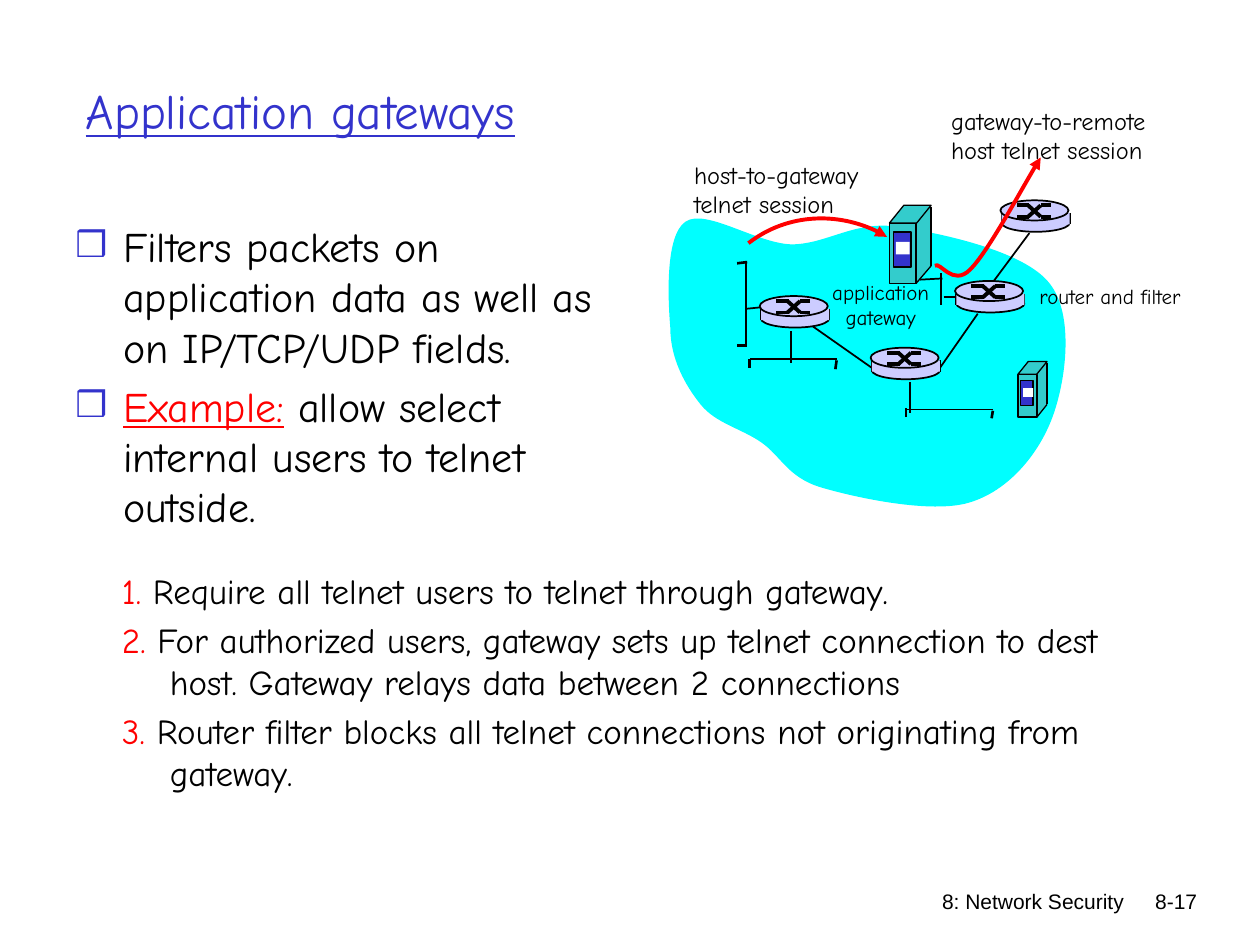
from dataclasses import dataclass
from lxml import etree
from pptx import Presentation
from pptx import util as u
from pptx.dml.color import RGBColor
from pptx.enum import shapes, text
from pptx.oxml.ns import qn

PX = 9144


@dataclass(frozen=True)
class Theme:
    ink: str = "000000"
    blue: str = "3333CC"
    red: str = "FF0000"
    cloud: str = "00FFFF"
    server: str = "33CCCC"
    router: str = "CCCCFF"
    white: str = "FFFFFF"
    hand: str = "Comic Neue"
    plain: str = "Arial"
    title: int = 28
    body: int = 24
    steps: int = 20
    label: int = 14
    small: int = 12


THEME = Theme()
LEFT, CENTER, RIGHT = text.PP_ALIGN.LEFT, text.PP_ALIGN.CENTER, text.PP_ALIGN.RIGHT
KIND = shapes.MSO_SHAPE


def px(*lengths):
    return [u.Emu(round(length) * PX) for length in lengths]


def apply(target, values):
    for name, value in values.items():
        setattr(target, name, value)


def paint(shape, fill=None, line=None, width=1):
    shape.shadow.inherit = False
    for part, colour in ((shape.fill, fill), (shape.line.fill, line)):
        if colour:
            part.solid()
            part.fore_color.rgb = RGBColor.from_string(colour)
        else:
            part.background()
    if line:
        shape.line.width = u.Pt(width)


def add_block(parent, kind, at, fill, line=None, width=1):
    shape = parent.add_shape(kind, *px(*at))
    paint(shape, fill, line, width)
    if kind == KIND.PARALLELOGRAM:
        shape.adjustments[0] = 0.81


def add_line(parent, ends, width=1):
    line = parent.add_connector(shapes.MSO_CONNECTOR.STRAIGHT, *px(*ends))
    line.line.color.rgb = RGBColor.from_string(THEME.ink)
    line.line.width = u.Pt(width)
    etree.SubElement(line._element.spPr, qn("a:effectLst"))


def add_curve(parent, points, close=False):
    builder = parent.build_freeform(*points[0], scale=PX)
    builder.add_line_segments(points[1:], close=close)
    curve = builder.convert_to_shape()
    segments = list(curve._element.iter(qn("a:lnTo")))
    for first in range(0, len(segments), 3):
        bend = etree.Element(qn("a:cubicBezTo"))
        segments[first].addprevious(bend)
        for segment in segments[first:first + 3]:
            bend.append(segment[0])
            segment.getparent().remove(segment)
    return curve


def add_session(parent, points):
    arrow = add_curve(parent, points)
    paint(arrow, None, THEME.red, 2.25)
    etree.SubElement(arrow.line._get_or_add_ln(), qn("a:tailEnd"), type="triangle")


def add_server(parent, x, y, scale=1):
    group = parent.add_group_shape().shapes

    def place(*values):
        return [origin + value * scale for origin, value in zip((x, y, x, y), values)]

    def block(kind, left, top, width, height, fill, line=None):
        size = [width * scale, height * scale]
        add_block(group, kind, place(left, top) + size, fill, line, 0.75)

    block(KIND.PARALLELOGRAM, 0, 48, 33, 14, THEME.server)
    block(KIND.RECTANGLE, 17, 1, 15, 48, THEME.server)
    block(KIND.RECTANGLE, 0, 14, 21, 48, THEME.server, THEME.ink)
    block(KIND.PARALLELOGRAM, 0, 0, 33, 14, THEME.server, THEME.ink)
    add_line(group, place(33, 1, 33, 48), 0.75)
    add_line(group, place(33, 48, 21, 62), 0.75)
    block(KIND.RECTANGLE, 3, 21, 14, 28, THEME.blue, THEME.ink)
    block(KIND.RECTANGLE, 5, 29, 11, 10, THEME.white)


def add_router(parent, x, y):
    group = parent.add_group_shape().shapes
    add_block(group, KIND.OVAL, (x + 1, y + 11, 54, 14), THEME.router, THEME.ink)
    for side in (x + 1, x + 55):
        add_line(group, (side, y + 10, side, y + 19))
    add_block(group, KIND.RECTANGLE, (x + 1, y + 10, 54, 9), THEME.router)
    add_block(group, KIND.OVAL, (x, y, 54, 16), THEME.router, THEME.ink)
    for start, end in ((4, 13), (13, 4)):
        for left, top, right, bottom in ((13, start, 23, start), (32, end, 40, end),
                                         (22, start, 32, end)):
            add_line(group, (x + left, y + top, x + right, y + bottom), 2.25)


def add_bullet(para, mark):
    props = para._p.get_or_add_pPr()
    colour = etree.SubElement(props, qn("a:buClr"))
    etree.SubElement(colour, qn("a:srgbClr"), val=THEME.blue)
    etree.SubElement(props, qn("a:buSzPct"), val="85000")
    etree.SubElement(props, qn("a:buFont"), typeface=THEME.plain)
    etree.SubElement(props, qn("a:buChar"), char=mark)


def write(frame, paras, size, font=THEME.hand, align=LEFT, hang=0, mark=None):
    for index, spans in enumerate(paras):
        para = frame.paragraphs[0] if index == 0 else frame.add_paragraph()
        para.alignment = align
        if hang:
            para.space_before = u.Pt(size * 0.2 if index else 0)
            props = para._p.get_or_add_pPr()
            props.set("marL", str(hang * PX))
            props.set("indent", str(-hang * PX))
        if mark:
            add_bullet(para, mark)
        for words, colour, underline in spans:
            span = para.add_run()
            span.text = words
            apply(span.font, {"size": u.Pt(size), "name": font, "underline": underline})
            span.font.color.rgb = RGBColor.from_string(colour)


def add_text(parent, at, paras, size, wrap=True, **layout):
    frame = parent.add_textbox(*px(*at)).text_frame
    fit = text.MSO_AUTO_SIZE.NONE if wrap else text.MSO_AUTO_SIZE.SHAPE_TO_FIT_TEXT
    apply(frame, {"word_wrap": wrap, "auto_size": fit})
    write(frame, paras, size, **layout)


def add_label(parent, at, lines, size, align=LEFT):
    add_text(parent, at, [[(line, THEME.ink, False)] for line in lines], size,
             wrap=False, align=align)


def add_title(slide, words):
    title = slide.shapes.title
    apply(title, dict(zip(("left", "top", "width", "height"), px(58, 25, 850, 125))))
    apply(title.text_frame, {"vertical_anchor": text.MSO_ANCHOR.MIDDLE,
                             "auto_size": text.MSO_AUTO_SIZE.NONE})
    write(title.text_frame, [[(words, THEME.blue, True)]], THEME.title)


def add_network(parent):
    cloud = add_curve(parent, [
        (532, 260), (530, 236), (528, 187), (544, 176), (560, 165), (600, 193), (628, 194),
        (656, 194), (678, 175), (712, 180), (746, 185), (813, 199), (833, 225),
        (853, 250), (846, 303), (835, 332), (824, 361), (800, 390), (769, 399),
        (739, 408), (679, 395), (652, 387), (625, 379), (620, 362), (604, 351),
        (588, 340), (568, 336), (556, 321), (544, 306), (532, 285), (532, 260)], True)
    paint(cloud, THEME.cloud)
    for tick in ((585, 209, 593, 208), (585, 274, 593, 274), (663, 293, 664, 286),
                 (595, 292, 595, 285), (787, 332, 788, 326), (719, 331, 719, 324)):
        add_line(parent, tick, 1.5)
    for link in ((592, 208, 592, 274), (664, 285, 595, 285), (593, 245, 603, 244),
                 (645, 259, 692, 292), (776, 249, 746, 292), (722, 303, 722, 328),
                 (747, 242, 747, 217), (730, 222, 748, 221), (749, 236, 758, 236),
                 (817, 185, 788, 224), (628, 263, 628, 288), (788, 325, 719, 325)):
        add_line(parent, link)
    add_server(parent, 706, 163)
    add_server(parent, 808, 287, 0.71)
    for spot in ((794, 159), (758, 223), (691, 276), (603, 235)):
        add_router(parent, *spot)
    add_session(parent, [(594, 193), (625, 169), (672, 168), (704, 188)])
    add_session(parent, [(742, 211), (746, 207), (756, 228), (770, 214),
                         (784, 200), (814, 144), (826, 125)])
    add_label(parent, (541, 122, 169, 57), ["host-to-gateway", "telnet session"], THEME.label)
    add_label(parent, (745, 79, 200, 57), ["gateway-to-remote", "host telnet session"],
              THEME.label)
    add_label(parent, (648, 217, 102, 50), ["application", "gateway"], THEME.small, CENTER)
    add_label(parent, (806, 220, 150, 30), ["router and filter"], THEME.small, CENTER)


def main():
    deck = Presentation()
    deck.slide_width, deck.slide_height = px(1000, 750)
    page = deck.slides.add_slide(deck.slide_layouts[5])
    parent = page.shapes
    add_title(page, "Application gateways")
    for at, words in (((585, 700, 317, 50), "8: Network Security"),
                      ((880, 700, 80, 32), "8-17")):
        add_text(parent, at, [[(words, THEME.ink, False)]], THEME.small,
                 font=THEME.plain, align=RIGHT)
    add_text(parent, (50, 170, 453, 245), [
        [("Filters packets on application data as well as on IP/TCP/UDP fields.",
          THEME.ink, False)],
        [("Example:", THEME.red, True),
         (" allow select internal users to telnet outside.", THEME.ink, False)],
    ], THEME.body, hang=38, mark="❒")
    add_network(parent)
    steps = ("Require all telnet users to telnet through gateway.",
             "For authorized users, gateway sets up telnet connection to dest host. "
             "Gateway relays data between 2 connections",
             "Router filter blocks all telnet connections not originating from gateway.")
    add_text(parent, (87, 447, 836, 218), [
        [(f"{number}.", THEME.red, False), (f" {step}", THEME.ink, False)]
        for number, step in enumerate(steps, 1)], THEME.steps, hang=38)
    deck.save("out.pptx")


if __name__ == "__main__":
    main()
